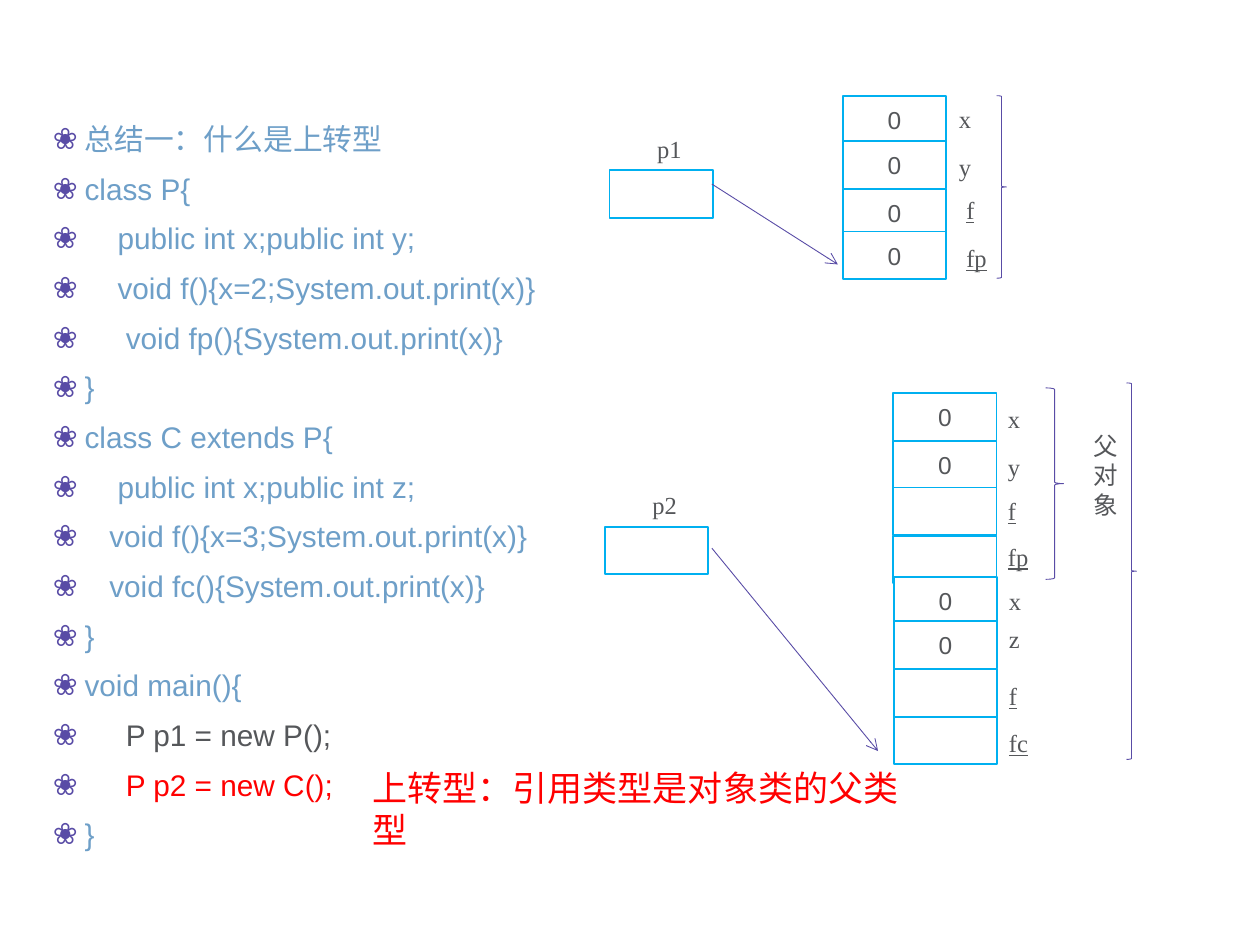
"""Builds the slide on upcasting, with its code list and object memory diagrams."""
from dataclasses import dataclass

from lxml.etree import SubElement
from pptx import Presentation
from pptx.dml.color import RGBColor
from pptx.enum.shapes import MSO_CONNECTOR, MSO_SHAPE
from pptx.enum.text import MSO_ANCHOR, MSO_AUTO_SIZE, PP_ALIGN
from pptx.oxml.ns import qn
from pptx.slide import Slide
from pptx.util import Cm, Pt

COLORS = {"code": "6E9FC8", "text": "55575A", "accent": "594CA6",
          "border": "00B0F0", "alert": "FF0000", "white": "FFFFFF"}
CELL_WIDTH, CELL_HEIGHT = 2.08, 0.96
LABEL_WIDTH, LABEL_HEIGHT = 1.35, 0.86


@dataclass
class Field:
    top: float
    value: str
    name: str
    name_top: float
    is_method: bool = False


@dataclass
class Stack:
    left: float
    name_left: float
    fields: list[Field]
    method_shift: float = 0


@dataclass
class Reference:
    name: str
    left: float
    top: float
    arrow: tuple[float, float, float, float]


@dataclass
class Brace:
    left: float
    top: float
    width: float
    height: float


CODE = [
    ("总结一：什么是上转型", "code"),
    ("class P{", "code"),
    ("    public int x;public int y;", "code"),
    ("    void f(){x=2;System.out.print(x)}", "code"),
    ("     void fp(){System.out.print(x)}", "code"),
    ("}", "code"),
    ("class C extends P{", "code"),
    ("    public int x;public int z;", "code"),
    ("   void f(){x=3;System.out.print(x)}", "code"),
    ("   void fc(){System.out.print(x)}", "code"),
    ("}", "code"),
    ("void main(){", "code"),
    ("     P p1 = new P();", "text"),
    ("     P p2 = new C();", "alert"),
    ("}", "code"),
]
REFERENCES = [
    Reference("p1", 12.29, 3.43, (14.35, 3.71, 16.89, 5.33)),
    Reference("p2", 12.19, 10.62, (14.35, 11.05, 17.7, 15.14)),
]
STACKS = [
    Stack(16.99, 19.08, [Field(1.93, "0", "x", 1.98), Field(2.84, "0", "y", 2.95),
                         Field(3.81, "0", "f", 3.81, True),
                         Field(4.67, "0", "fp", 4.78, True)], 0.15),
    Stack(18.01, 20.07, [Field(7.92, "0", "x", 8.03), Field(8.89, "0", "y", 8.99),
                         Field(9.83, "", "f", 9.88, True),
                         Field(10.8, "", "fp", 10.8, True)]),
    Stack(18.02, 20.09, [Field(11.63, "0", "x", 11.68), Field(12.52, "0", "z", 12.45),
                         Field(13.49, "", "f", 13.61, True),
                         Field(14.45, "", "fc", 14.55, True)]),
]
BRACES = [Brace(20.09, 1.93, 0.2, 3.68), Brace(21.08, 7.82, 0.36, 3.86),
          Brace(22.71, 7.72, 0.2, 7.59)]


def color(name: str) -> RGBColor:
    """Return the named colour."""
    return RGBColor.from_string(COLORS[name])


def style_runs(paragraph, size: float, font: str, shade: str, underline: bool = False) -> None:
    """Format every run of a paragraph."""
    for span in paragraph.runs:
        span.font.size = Pt(size)
        span.font.name = font
        span.font.color.rgb = color(shade)
        if underline:
            span.font.underline = True


def fill_code(page: Slide) -> None:
    """Write the code list into the body placeholder."""
    body = page.placeholders[1]
    body.left, body.top, body.width, body.height = Cm(0.81), Cm(2.39), Cm(11.46), Cm(15.06)
    frame = body.text_frame
    frame.text = "\n".join(line for line, shade in CODE)
    frame.auto_size = MSO_AUTO_SIZE.NONE
    frame.vertical_anchor = MSO_ANCHOR.TOP
    for index, (paragraph, (line, shade)) in enumerate(zip(frame.paragraphs, CODE)):
        properties = paragraph._p.get_or_add_pPr()
        properties.set("marL", str(Cm(0.64)))
        properties.set("indent", str(-Cm(0.64)))
        bullet_color = SubElement(properties, qn("a:buClr"))
        SubElement(bullet_color, qn("a:srgbClr")).set("val", COLORS["accent"])
        SubElement(properties, qn("a:buChar")).set("char", "❀")
        paragraph.line_spacing = 0.9
        paragraph.space_before = Pt(10 if index else 0)
        style_runs(paragraph, 17, "Arial", shade)


def add_label(page: Slide, text: str, left: float, top: float, width: float = LABEL_WIDTH,
              height: float = LABEL_HEIGHT, size: float = 14, shade: str = "text",
              underline: bool = False, wrap: bool = True) -> None:
    """Add a text box in the label font."""
    box = page.shapes.add_textbox(Cm(left), Cm(top), Cm(width), Cm(height))
    box.text_frame.text = text
    box.text_frame.word_wrap = wrap
    style_runs(box.text_frame.paragraphs[0], size, "Times New Roman", shade, underline)


def add_cell(page: Slide, left: float, top: float, value: str = "") -> None:
    """Add one memory cell."""
    cell = page.shapes.add_shape(MSO_SHAPE.RECTANGLE, Cm(left), Cm(top),
                                 Cm(CELL_WIDTH), Cm(CELL_HEIGHT))
    cell.shadow.inherit = False
    cell.fill.solid()
    cell.fill.fore_color.rgb = color("white")
    cell.line.color.rgb = color("border")
    cell.line.width = Pt(1)
    if value:
        cell.text_frame.text = value
        cell.text_frame.vertical_anchor = MSO_ANCHOR.MIDDLE
        paragraph = cell.text_frame.paragraphs[0]
        paragraph.alignment = PP_ALIGN.CENTER
        style_runs(paragraph, 14, "Arial", "text")


def add_stack(page: Slide, stack: Stack) -> None:
    """Add the cells of an object with their names."""
    for field in stack.fields:
        add_cell(page, stack.left, field.top, field.value)
        shift = stack.method_shift if field.is_method else 0
        add_label(page, field.name, stack.name_left + shift, field.name_top,
                  underline=field.is_method)


def add_reference(page: Slide, reference: Reference) -> None:
    """Add a reference variable and its arrow."""
    add_cell(page, reference.left, reference.top)
    add_label(page, reference.name, reference.left + 0.71, reference.top - 0.86)
    arrow = page.shapes.add_connector(MSO_CONNECTOR.STRAIGHT, *map(Cm, reference.arrow))
    arrow.line.color.rgb = color("accent")
    arrow.line.width = Pt(0.5)
    SubElement(arrow.line._get_or_add_ln(), qn("a:tailEnd")).set("type", "arrow")
    SubElement(arrow._element.spPr, qn("a:effectLst"))


def add_brace(page: Slide, brace: Brace) -> None:
    """Add a right brace."""
    shape = page.shapes.add_shape(MSO_SHAPE.RIGHT_BRACE, Cm(brace.left), Cm(brace.top),
                                  Cm(brace.width), Cm(brace.height))
    shape.shadow.inherit = False
    shape.fill.background()
    shape.line.color.rgb = color("accent")
    shape.line.width = Pt(0.5)


def main() -> None:
    """Build and save the deck."""
    deck = Presentation()
    deck.slide_width, deck.slide_height = Cm(25.4), Cm(19.05)
    page = deck.slides.add_slide(deck.slide_layouts[1])
    title = page.shapes.title._element
    title.getparent().remove(title)
    fill_code(page)
    for reference in REFERENCES:
        add_reference(page, reference)
    for stack in STACKS:
        add_stack(page, stack)
    for brace in BRACES:
        add_brace(page, brace)
    add_label(page, "父对象", 21.79, 8.56, height=2.03)
    add_label(page, "上转型：引用类型是对象类的父类型", 7.26, 15.32, 11.81, 1.12,
              size=20, shade="alert", wrap=False)
    deck.save("out.pptx")


if __name__ == "__main__":
    main()
